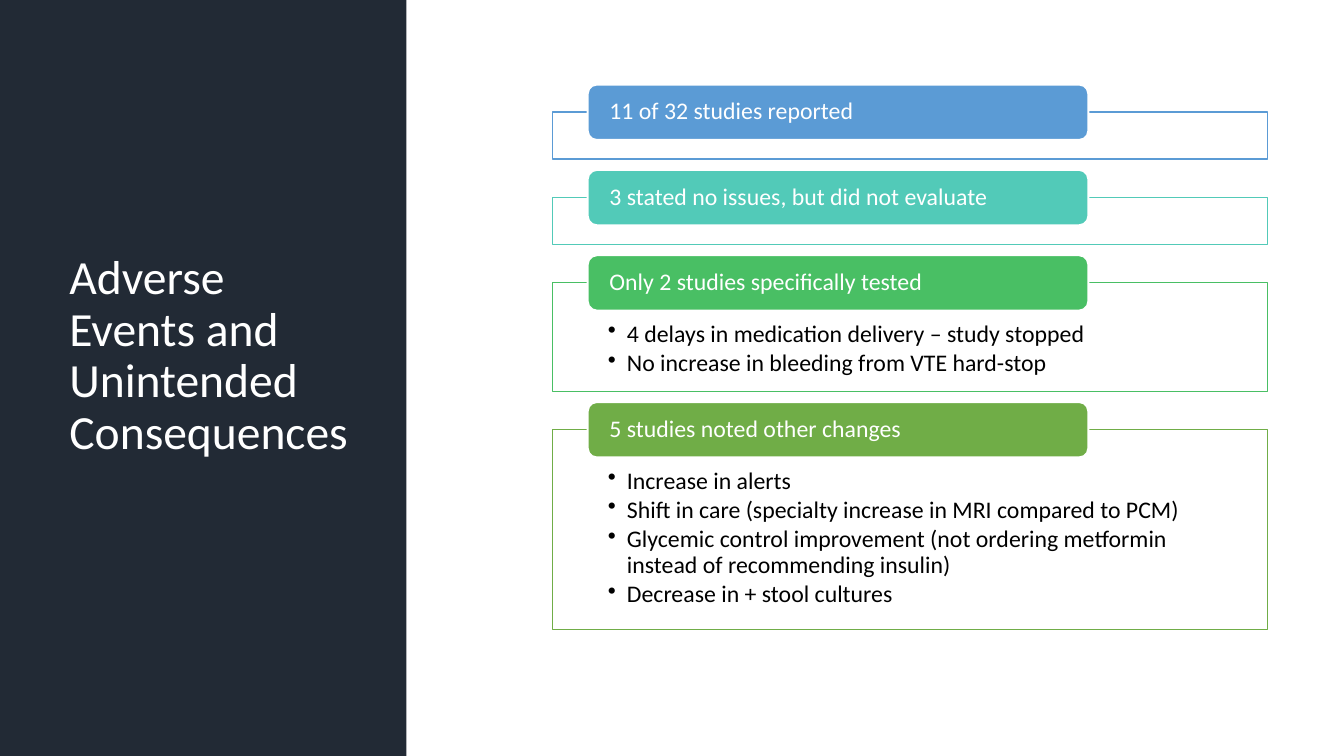
"""Build the slide on adverse events and unintended consequences."""
from dataclasses import dataclass

from lxml.etree import SubElement
from pptx import Presentation
from pptx.dml.color import RGBColor
from pptx.enum.shapes import MSO_SHAPE as Kind
from pptx.enum.text import MSO_ANCHOR as Anchor, PP_ALIGN as Align
from pptx.oxml.ns import qn
from pptx.shapes.autoshape import Shape
from pptx.slide import Slide
from pptx.text.text import TextFrame, _Paragraph as Para
from pptx.util import Cm, Pt

NAVY = RGBColor(0x22, 0x2A, 0x35)
WHITE = RGBColor(0xFF, 0xFF, 0xFF)
BLACK = RGBColor(0x00, 0x00, 0x00)
BLUE = RGBColor(0x5B, 0x9B, 0xD5)
TEAL = RGBColor(0x52, 0xCA, 0xB8)
GREEN = RGBColor(0x49, 0xBF, 0x64)
OLIVE = RGBColor(0x70, 0xAD, 0x47)

TOP, GAP, RISE = 2.82, 0.96, 0.69


@dataclass
class Finding:
    head: str
    color: RGBColor
    height: float
    items: tuple[str, ...] = ()


FINDINGS = (
    Finding("11 of 32 studies reported", BLUE, 1.19),
    Finding("3 stated no issues, but did not evaluate", TEAL, 1.19),
    Finding("Only 2 studies specifically tested", GREEN, 2.74, (
        "4 delays in medication delivery – study stopped",
        "No increase in bleeding from VTE hard-stop",
    )),
    Finding("5 studies noted other changes", OLIVE, 5.05, (
        "Increase in alerts",
        "Shift in care (specialty increase in MRI compared to PCM)",
        "Glycemic control improvement (not ordering metformin instead of recommending insulin)",
        "Decrease in + stool cultures",
    )),
)


def add_block(slide: Slide, kind: Kind, left: float, top: float, width: float,
              height: float, fill: RGBColor) -> Shape:
    block = slide.shapes.add_shape(kind, Cm(left), Cm(top), Cm(width), Cm(height))
    block.shadow.inherit = False
    block.fill.solid()
    block.fill.fore_color.rgb = fill
    block.line.fill.background()
    return block


def set_line(block: Shape, color: RGBColor, width: float) -> None:
    block.line.color.rgb = color
    block.line.width = Pt(width)


def set_frame(frame: TextFrame, anchor: Anchor, side: float, top: float, base: float) -> None:
    frame.word_wrap = True
    frame.vertical_anchor = anchor
    frame.margin_left = frame.margin_right = Cm(side)
    frame.margin_top, frame.margin_bottom = Cm(top), Cm(base)


def set_text(para: Para, text: str, size: int, color: RGBColor) -> None:
    para.text = text
    para.alignment = Align.LEFT
    para.line_spacing = 0.9
    para.font.name = "Calibri"
    para.font.size = Pt(size)
    para.font.color.rgb = color


def add_bullet(para: Para) -> None:
    props = para._p.get_or_add_pPr()
    props.set("marL", str(Cm(0.48)))
    props.set("indent", str(-Cm(0.48)))
    SubElement(props, qn("a:buChar")).set("char", "•")


def add_finding(slide: Slide, item: Finding, top: float) -> None:
    box = add_block(slide, Kind.RECTANGLE, 13.92, top, 18.03, item.height, WHITE)
    set_line(box, item.color, 1)
    frame = box.text_frame
    set_frame(frame, Anchor.TOP, 1.4, 0.99, 0.33)
    for i, text in enumerate(item.items):
        para = frame.add_paragraph() if i else frame.paragraphs[0]
        add_bullet(para)
        set_text(para, text, 17, BLACK)
        para.space_after = Pt(2.5)

    tag = add_block(slide, Kind.ROUNDED_RECTANGLE, 14.81, top - RISE, 12.62, 1.4, item.color)
    set_line(tag, WHITE, 1.5)
    set_frame(tag.text_frame, Anchor.MIDDLE, 0.48, 0, 0)
    set_text(tag.text_frame.paragraphs[0], item.head, 17, WHITE)


def main() -> None:
    deck = Presentation()
    deck.slide_width, deck.slide_height = Cm(33.87), Cm(19.05)
    slide = deck.slides.add_slide(deck.slide_layouts[6])

    add_block(slide, Kind.RECTANGLE, 0, 0, 10.24, 19.05, NAVY)
    title = slide.shapes.add_textbox(Cm(1.5), Cm(1.9), Cm(7.72), Cm(14.17)).text_frame
    set_frame(title, Anchor.MIDDLE, 0.25, 0.13, 0.13)
    set_text(title.paragraphs[0], "Adverse Events and Unintended Consequences", 34, WHITE)

    top = TOP
    for item in FINDINGS:
        add_finding(slide, item, top)
        top += item.height + GAP
    deck.save("out.pptx")


if __name__ == "__main__":
    main()
